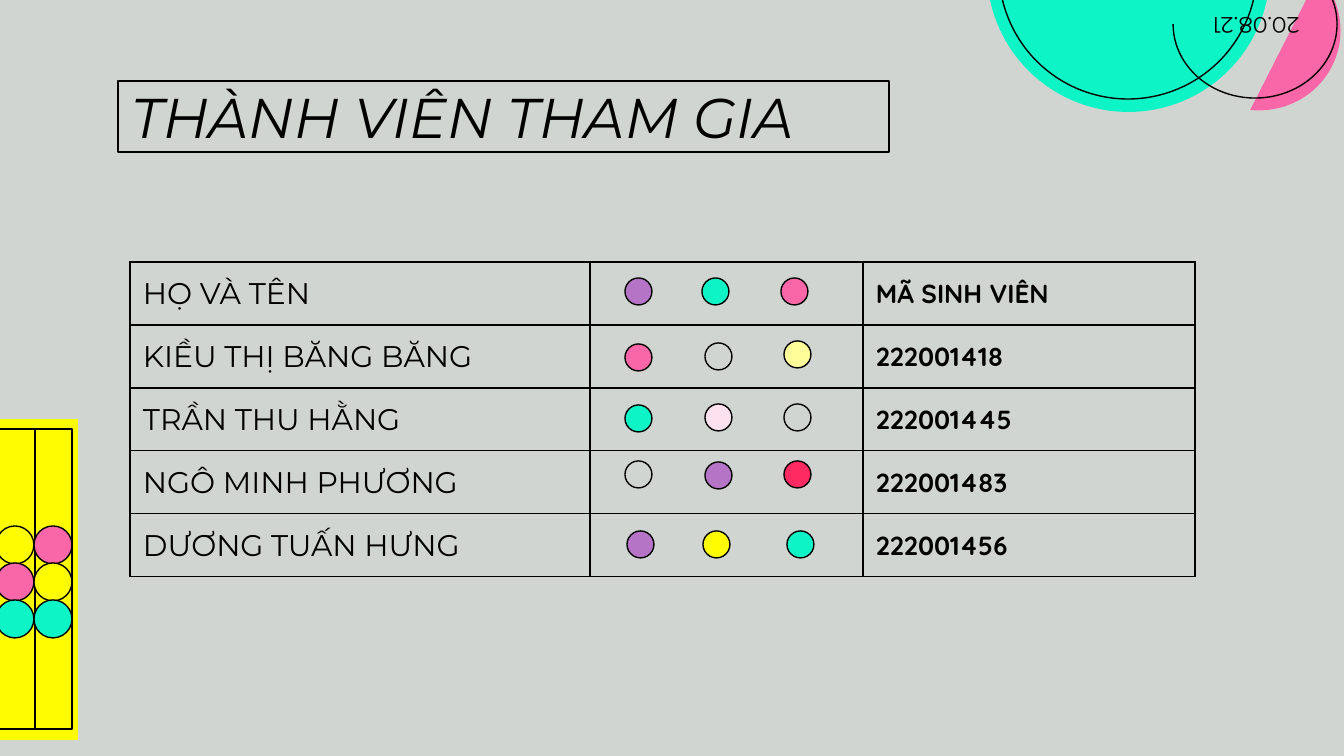
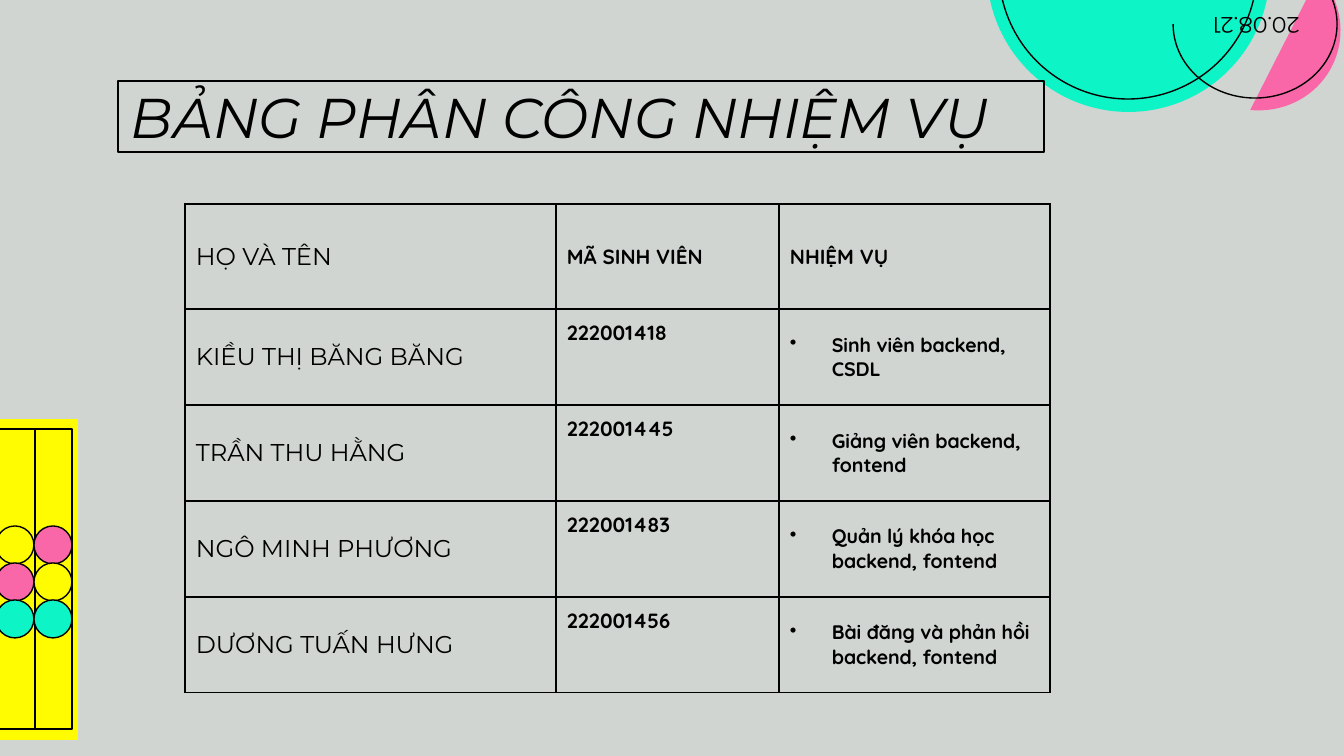
import lxml.etree
import pptx
import pptx.dml.color
import pptx.enum.shapes
import pptx.enum.text
import pptx.oxml.ns
import pptx.util

EMU_PER_PX = 914400 / 134.4
LINE_WIDTH = pptx.util.Pt(0.75)
ANGLE_UNIT = 0.6  # one degree as an adjustment value
SHAPES = pptx.enum.shapes.MSO_SHAPE
ANCHOR = pptx.enum.text.MSO_ANCHOR
ALIGN = pptx.enum.text.PP_ALIGN

COLORS = {
    "background": "D1D5D1",
    "ink": "000000",
    "teal": "0DF4C7",
    "yellow": "FFFB00",
    "pink": "FA67A8",
    "purple": "B674C7",
    "blush": "FEE1EE",
    "cream": "FFFD99",
    "red": "FF2A62",
}
HEADING_FONT = "Montserrat"
BODY_FONT = "Quicksand"

NAME_HEADER = "HỌ VÀ TÊN"
ID_HEADER = "MÃ SINH VIÊN"
TASK_HEADER = "NHIỆM VỤ"
MEMBERS = [
    ("KIỀU THỊ BĂNG BĂNG", "222001418", "Sinh viên backend, CSDL"),
    ("TRẦN THU HẰNG", "222001445", "Giảng viên backend, fontend"),
    ("NGÔ MINH PHƯƠNG", "222001483", "Quản lý khóa học backend, fontend"),
    ("DƯƠNG TUẤN HƯNG", "222001456", "Bài đăng và phản hồi backend, fontend"),
]

# Dots in the middle column of the member table: left, top, fill
MEMBER_DOT_SIZE = 27
MEMBER_DOTS = [
    (625, 278, "purple"), (702, 278, "teal"), (781, 278, "pink"),
    (625, 344, "pink"), (705, 343, None), (784, 341, "cream"),
    (625, 405, "teal"), (705, 404, "blush"), (784, 404, None),
    (625, 461, None), (705, 462, "purple"), (784, 461, "red"),
    (627, 531, "purple"), (703, 531, "yellow"), (787, 531, "teal"),
]
# Dots on the yellow panel, row by row
PANEL_DOTS = [("yellow", "pink"), ("pink", "yellow"), ("teal", "teal")]


def px(length):
    return pptx.util.Emu(round(length * EMU_PER_PX))


def rgb(name):
    return pptx.dml.color.RGBColor.from_string(COLORS[name])


# Basic elements
def add_shape(slide, kind, box, fill=None, outlined=True, rotation=0):
    shape = slide.shapes.add_shape(kind, *map(px, box))
    shape.shadow.inherit = False
    shape.rotation = rotation
    if fill:
        shape.fill.solid()
        shape.fill.fore_color.rgb = rgb(fill)
    else:
        shape.fill.background()
    if outlined:
        shape.line.color.rgb = rgb("ink")
        shape.line.width = LINE_WIDTH
    else:
        shape.line.fill.background()
    return shape


def add_dot(slide, left, top, size, fill=None, outlined=True):
    add_shape(slide, SHAPES.OVAL, (left, top, size, size), fill, outlined)


def set_angles(shape, *degrees):
    for index, angle in enumerate(degrees):
        shape.adjustments[index] = angle * ANGLE_UNIT


def add_line(slide, start, end):
    connector = slide.shapes.add_connector(
        pptx.enum.shapes.MSO_CONNECTOR.STRAIGHT, *map(px, start + end))
    connector.line.color.rgb = rgb("ink")
    connector.line.width = LINE_WIDTH
    lxml.etree.SubElement(connector._element.spPr,
                          pptx.oxml.ns.qn("a:effectLst"))


def style_paragraph(paragraph, font, size, bold=False, italic=False):
    paragraph.font.name = font
    paragraph.font.size = pptx.util.Pt(size)
    paragraph.font.bold = bold
    paragraph.font.italic = italic
    paragraph.font.color.rgb = rgb("ink")


def write_text(shape, text, size, align, italic=False):
    frame = shape.text_frame
    frame.word_wrap = True
    frame.vertical_anchor = ANCHOR.MIDDLE
    frame.margin_left = frame.margin_right = px(13)
    frame.margin_top = frame.margin_bottom = px(13)
    paragraph = frame.paragraphs[0]
    paragraph.text = text
    paragraph.alignment = align
    style_paragraph(paragraph, HEADING_FONT, size, italic=italic)


# Tables
def add_bullet(paragraph, indent):
    properties = paragraph._p.get_or_add_pPr()
    properties.set("marL", str(px(indent)))
    properties.set("indent", str(-px(indent)))
    lxml.etree.SubElement(properties, pptx.oxml.ns.qn("a:buChar"), char="•")


def add_borders(cell):
    properties = cell._tc.get_or_add_tcPr()
    for side in ("lnL", "lnR", "lnT", "lnB"):
        border = lxml.etree.SubElement(
            properties, pptx.oxml.ns.qn("a:" + side), w=str(LINE_WIDTH))
        fill = lxml.etree.SubElement(border, pptx.oxml.ns.qn("a:solidFill"))
        lxml.etree.SubElement(
            fill, pptx.oxml.ns.qn("a:srgbClr"), val=COLORS["ink"])


def write_cell(cell, text, margin, font, size, anchor=ANCHOR.MIDDLE,
               bullet=False):
    add_borders(cell)
    cell.fill.background()
    cell.vertical_anchor = anchor
    cell.margin_left = cell.margin_right = px(margin)
    cell.margin_top = cell.margin_bottom = px(margin)
    paragraph = cell.text_frame.paragraphs[0]
    paragraph.text = text
    if bullet:
        add_bullet(paragraph, 42)
    style_paragraph(paragraph, font, size, bold=font == BODY_FONT)


def add_grid(slide, left, top, widths, heights):
    frame = slide.shapes.add_table(
        len(heights), len(widths), px(left), px(top),
        px(sum(widths)), px(sum(heights)))
    table = frame.table
    table.first_row = table.horz_banding = False
    for column, width in zip(table.columns, widths):
        column.width = px(width)
    for row, height in zip(table.rows, heights):
        row.height = px(height)
    return table


def add_member_table(slide):
    table = add_grid(slide, 130, 262, [460, 273, 332], [63] * 5)
    rows = [(NAME_HEADER, ID_HEADER)] + [member[:2] for member in MEMBERS]
    for index, (name, student_id) in enumerate(rows):
        write_cell(table.cell(index, 0), name, 13, HEADING_FONT, 16)
        write_cell(table.cell(index, 1), "", 13, BODY_FONT, 14)
        write_cell(table.cell(index, 2), student_id, 13, BODY_FONT, 14)


def add_task_table(slide):
    table = add_grid(slide, 185, 204, [371, 223, 271], [105] + [96] * 4)
    rows = [(NAME_HEADER, ID_HEADER, TASK_HEADER)] + MEMBERS
    for index, (name, student_id, task) in enumerate(rows):
        header = index == 0
        write_cell(table.cell(index, 0), name, 11, HEADING_FONT, 13)
        write_cell(table.cell(index, 1), student_id, 11, BODY_FONT, 11,
                   anchor=ANCHOR.MIDDLE if header else ANCHOR.TOP)
        write_cell(table.cell(index, 2), task, 11, BODY_FONT,
                   11 if header else 10.5, bullet=not header)


# Shared decoration
def add_corner_discs(slide):
    add_dot(slide, 987, -171, 283, "teal", outlined=False)
    add_dot(slide, 999, -159, 258)
    disc = add_shape(slide, SHAPES.CHORD, (1175, -56, 163, 169), "pink",
                     outlined=False, rotation=292.4)
    set_angles(disc, 27, 162)
    rim = add_shape(slide, SHAPES.ARC, (1173, -50, 164, 148), rotation=180)
    set_angles(rim, 109, 0)
    date = slide.shapes.add_textbox(*map(px, (1121, 8, 270, 36)))
    date.rotation = 180
    write_text(date, "20.08.21", 12, ALIGN.CENTER)


def add_side_panel(slide):
    add_shape(slide, SHAPES.RECTANGLE, (-243, 419, 321, 321), "yellow",
              outlined=False)
    add_shape(slide, SHAPES.RECTANGLE, (-229, 429, 301, 300))
    add_line(slide, (35, 430), (35, 730))


def add_panel_dots(slide):
    for row, fills in enumerate(PANEL_DOTS):
        for column, fill in enumerate(fills):
            add_dot(slide, -4 + 38 * column, 526 + 37 * row, 38, fill)


def add_title(slide, text, width):
    title = add_shape(slide, SHAPES.RECTANGLE, (118, 81, width, 71))
    write_text(title, text, 30, ALIGN.LEFT, italic=True)


def add_base_slide(presentation, title, title_width):
    slide = presentation.slides.add_slide(presentation.slide_layouts[6])
    slide.background.fill.solid()
    slide.background.fill.fore_color.rgb = rgb("background")
    add_side_panel(slide)
    add_corner_discs(slide)
    add_panel_dots(slide)
    add_title(slide, title, title_width)
    return slide


def main():
    presentation = pptx.Presentation()
    presentation.slide_width = px(1344)
    presentation.slide_height = px(756)

    # Members
    slide = add_base_slide(presentation, "THÀNH VIÊN THAM GIA", 771)
    add_member_table(slide)
    for left, top, fill in MEMBER_DOTS:
        add_dot(slide, left, top, MEMBER_DOT_SIZE, fill)

    # Task assignment
    slide = add_base_slide(presentation, "BẢNG PHÂN CÔNG NHIỆM VỤ", 926)
    add_task_table(slide)

    presentation.save("out.pptx")


if __name__ == "__main__":
    main()
